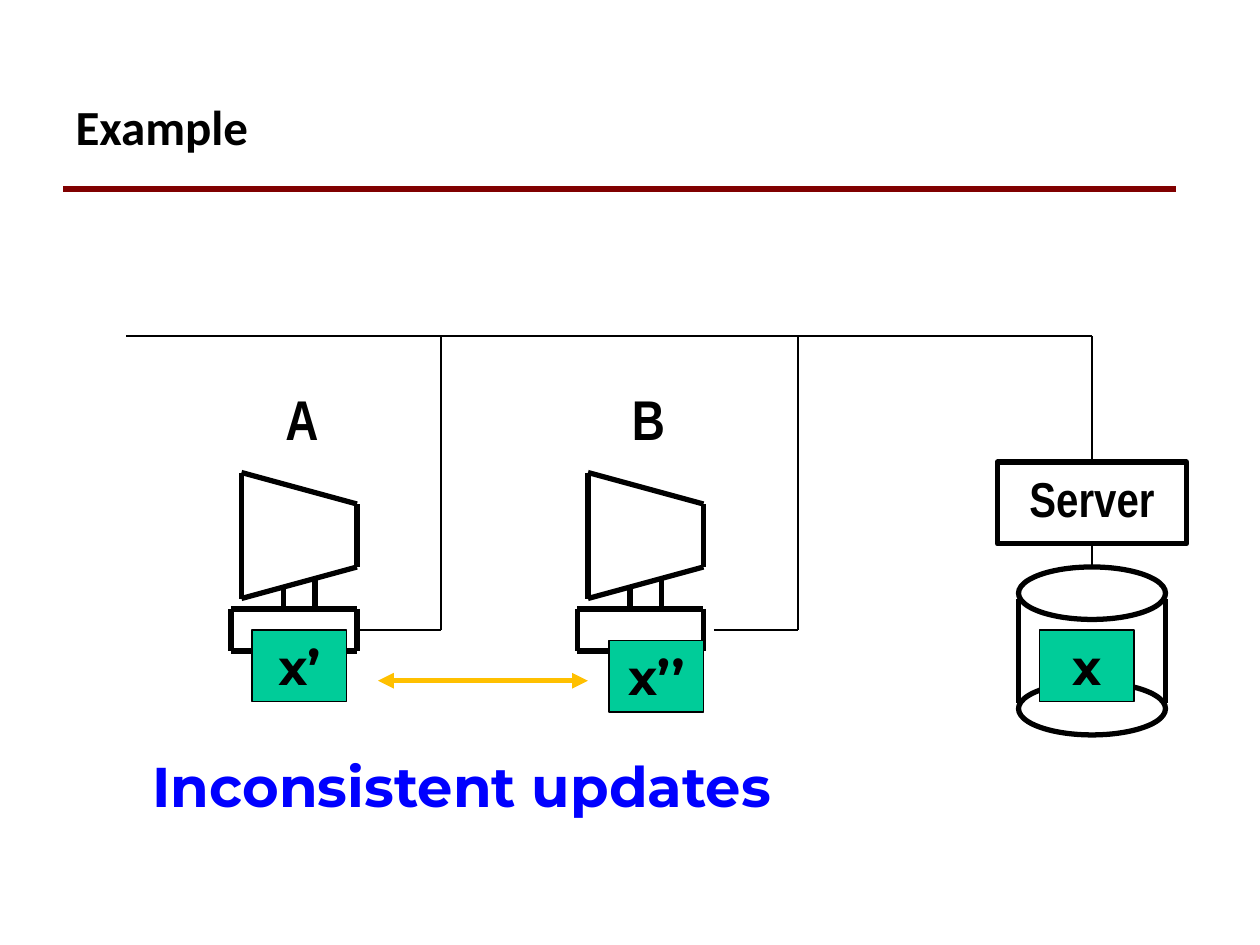
from pptx import Presentation
from pptx.dml.color import RGBColor
from pptx.enum.shapes import MSO_CONNECTOR as Connector, MSO_SHAPE as Shape
from pptx.enum.text import MSO_ANCHOR as Anchor, MSO_AUTO_SIZE as AutoSize, PP_ALIGN as Align
from pptx.oxml.ns import qn
from pptx.util import Pt
from lxml.etree import SubElement

COLORS = {"ink": "000000", "rule": "800000", "copy": "00CC99", "arrow": "FFC000", "verdict": "0000FF"}
TITLE = "Example"
VERDICT = "Inconsistent updates"
WORKSTATIONS = [("A", 132, 204), ("B", 330, 408)]
DATA_COPIES = [("x’", 144, 360), ("x", 594, 360), ("x’’", 348, 366)]
SCREEN = [(6, 270), (72, 288), (72, 324), (6, 342)]
BASE = [(0, 348), (72, 348), (72, 372), (0, 372)]
STAND = [((30, 336), (30, 348)), ((48, 330), (48, 348))]
DROPS = [252, 456]
BUS_Y, PORT_Y = 192, 360
SERVER_X, SERVER_TOP, SERVER_HEIGHT = 624, 264, 46.8
DISK_WIDTH, RIM_HEIGHT = 84, 30
DISK_LEFT = SERVER_X - DISK_WIDTH / 2
RIM_TOPS = [324, 390]


def rgb(name):
    return RGBColor.from_string(COLORS[name])


def write(holder, text, *, size=28, font="Montserrat", color="ink",
          align=Align.CENTER, anchor=Anchor.TOP, fit=AutoSize.NONE):
    """Put one formatted bold paragraph into a shape."""
    frame = holder.text_frame
    frame.word_wrap = True
    frame.auto_size = fit
    frame.vertical_anchor = anchor
    paragraph = frame.paragraphs[0]
    paragraph.text = text
    paragraph.alignment = align
    paragraph.space_before = Pt(0)
    paragraph.font.size = Pt(size)
    paragraph.font.name = font
    paragraph.font.bold = True
    paragraph.font.color.rgb = rgb(color)


def draw_line(shapes, start, end, width=1, color="ink", arrows=()):
    line = shapes.add_connector(Connector.STRAIGHT, *map(Pt, (*start, *end)))
    line.line.width = Pt(width)
    line.line.color.rgb = rgb(color)
    properties = line._element.spPr
    for tip in arrows:
        SubElement(properties.find(qn("a:ln")), qn(tip), type="triangle")
    SubElement(properties, qn("a:effectLst"))
    return line


def draw_shape(shapes, kind, box, width, fill=None):
    shape = shapes.add_shape(kind, *map(Pt, box))
    shape.shadow.inherit = False
    shape.line.width = Pt(width)
    shape.line.color.rgb = rgb("ink")
    if fill:
        shape.fill.solid()
        shape.fill.fore_color.rgb = rgb(fill)
    else:
        shape.fill.background()
    return shape


def draw_workstation(shapes, left):
    group = shapes.add_group_shape()
    outlines = [edge for part in (SCREEN, BASE) for edge in zip(part, part[1:] + part[:1])]
    for (x1, y1), (x2, y2) in outlines + STAND:
        draw_line(group.shapes, (left + x1, y1), (left + x2, y2), 3)


def main():
    deck = Presentation()
    deck.slide_width, deck.slide_height = Pt(720), Pt(540)
    slide = deck.slides.add_slide(deck.slide_layouts[5])
    shapes = slide.shapes

    draw_line(shapes, (36, 108), (672, 108), 3, "rule")
    title = shapes.title
    title.left, title.top, title.width, title.height = map(Pt, (36, 36, 636, 72))
    write(title, TITLE, font="Calibri", align=Align.LEFT, anchor=Anchor.MIDDLE)

    draw_line(shapes, (72, BUS_Y), (SERVER_X, BUS_Y))
    for (label, left, port), drop in zip(WORKSTATIONS, DROPS):
        draw_workstation(shapes, left)
        draw_line(shapes, (port, PORT_Y), (drop, PORT_Y))
        draw_line(shapes, (drop, BUS_Y), (drop, PORT_Y))
        caption = shapes.add_textbox(*map(Pt, (left + 24, 216, 30, 46)))
        write(caption, label, size=32, font="Arial Narrow", align=Align.LEFT,
              fit=AutoSize.SHAPE_TO_FIT_TEXT)

    server = draw_shape(shapes, Shape.RECTANGLE,
                        (SERVER_X - 54, SERVER_TOP, 108, SERVER_HEIGHT), 3)
    write(server, "Server", font="Arial Narrow")
    uplink = draw_line(shapes, (SERVER_X, BUS_Y), (SERVER_X, SERVER_TOP))
    uplink.end_connect(server, 0)
    disk_link = draw_line(shapes, (SERVER_X, SERVER_TOP + SERVER_HEIGHT), (SERVER_X, RIM_TOPS[0]))
    disk_link.begin_connect(server, 2)

    for top in RIM_TOPS:
        draw_shape(shapes, Shape.OVAL, (DISK_LEFT, top, DISK_WIDTH, RIM_HEIGHT), 3)
    for side in (DISK_LEFT, DISK_LEFT + DISK_WIDTH):
        draw_line(shapes, (side, 342), (side, 402), 3)

    for text, left, top in DATA_COPIES:
        data_copy = draw_shape(shapes, Shape.RECTANGLE, (left, top, 54, 41), 1, "copy")
        write(data_copy, text, fit=AutoSize.SHAPE_TO_FIT_TEXT)

    draw_line(shapes, (216, 389), (336, 389), 3, "arrow", ("a:headEnd", "a:tailEnd"))
    verdict = shapes.add_textbox(*map(Pt, (54, 426, 420, 46)))
    write(verdict, VERDICT, size=32, color="verdict", fit=AutoSize.SHAPE_TO_FIT_TEXT)

    deck.save("out.pptx")


if __name__ == "__main__":
    main()
